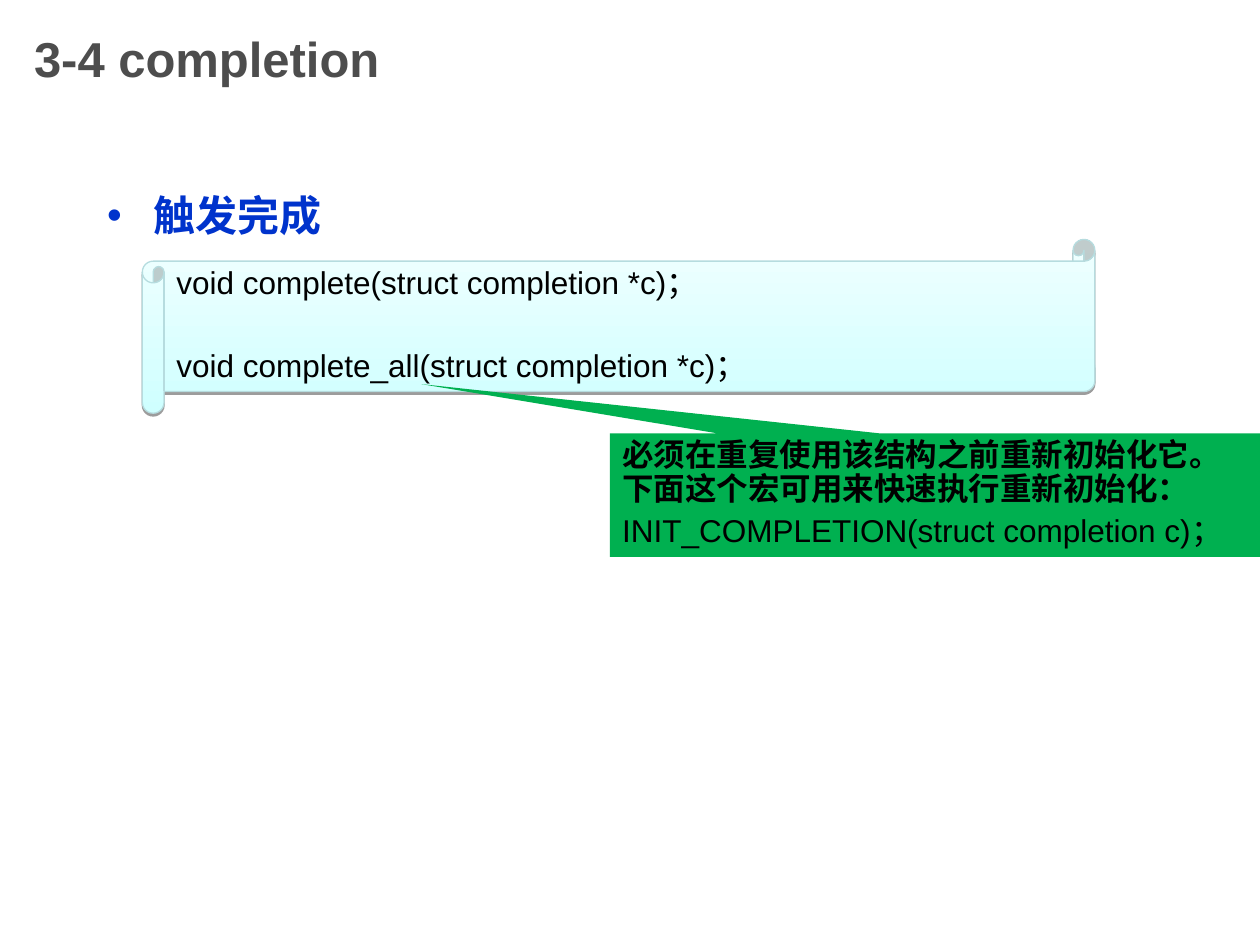
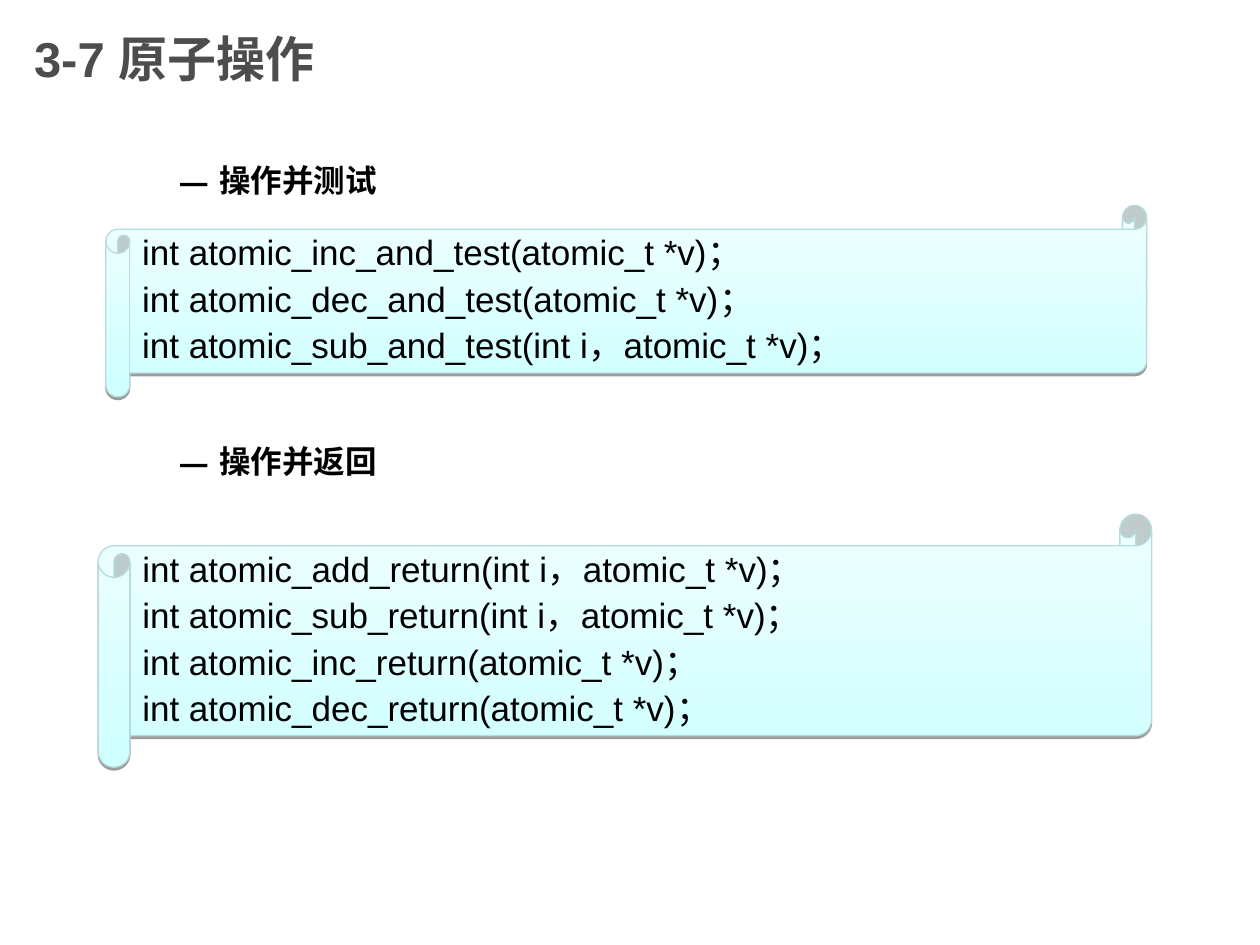
from lxml import etree
from pptx import Presentation
from pptx.dml.color import RGBColor
from pptx.enum.shapes import MSO_SHAPE as Preset
from pptx.enum.text import MSO_ANCHOR as Anchor, MSO_AUTO_SIZE as AutoSize, PP_ALIGN as Align
from pptx.oxml.ns import qn
from pptx.util import Inches, Pt

FONT = "Arial"
TITLE_GREY, HEADING_BLUE, BLACK = "4D4D4D", "0033CC", "000000"
SCROLL_BOTTOM, SCROLL_TOP, SCROLL_EDGE = "CFFFFF", "F0FFFF", "B6DCDF"
CALLOUT_GREEN = "00B050"


def rgb(hex_color):
    return RGBColor.from_string(hex_color)


class Deck:
    """Holds the shared style and the slide being filled."""

    def __init__(self):
        self.prs = Presentation()
        self.prs.slide_width, self.prs.slide_height = Inches(10), Inches(7.5)
        self.slide = None

    # Shared helpers
    def place(self, shape, box):
        shape.left, shape.top, shape.width, shape.height = map(Inches, box)

    def frame(self, shape, anchor=Anchor.TOP):
        text_frame = shape.text_frame
        text_frame.word_wrap = True
        text_frame.auto_size = AutoSize.NONE
        text_frame.vertical_anchor = anchor
        return text_frame

    def line(self, text_frame, text, size, color=BLACK, bold=False, before=0, spacing=1.0):
        """Write one paragraph, using the empty first one when it is free."""
        paragraph = text_frame.paragraphs[0]
        if paragraph.runs:
            paragraph = text_frame.add_paragraph()
        paragraph.alignment = Align.LEFT
        paragraph.line_spacing = spacing
        paragraph.space_before = Pt(before)
        run = paragraph.add_run()
        run.text = text
        run.font.name, run.font.size, run.font.bold = FONT, Pt(size), bold
        run.font.color.rgb = rgb(color)
        return paragraph

    def bullet(self, paragraph, char, color, left, hang, percent=100):
        props = paragraph._p.get_or_add_pPr()
        props.set("marL", str(Inches(left)))
        props.set("indent", str(-Inches(hang)))
        bullet_color = etree.SubElement(props, qn("a:buClr"))
        etree.SubElement(bullet_color, qn("a:srgbClr"), val=color)
        etree.SubElement(props, qn("a:buSzPct"), val=str(percent * 1000))
        etree.SubElement(props, qn("a:buFont"), typeface=FONT)
        etree.SubElement(props, qn("a:buChar"), char=char)

    # Slide elements
    def new_slide(self, title):
        self.slide = self.prs.slides.add_slide(self.prs.slide_layouts[1])
        heading = self.slide.shapes.title
        self.place(heading, (0.17, 0, 7.5, 0.92))
        self.line(self.frame(heading, Anchor.MIDDLE), title, 28, TITLE_GREY, bold=True)

    def body(self, left, top):
        placeholder = self.slide.placeholders[1]
        self.place(placeholder, (left, top, 8.5, 5.17))
        return self.frame(placeholder)

    def topic(self, body, text):
        paragraph = self.line(body, text, 24, HEADING_BLUE, True, before=6, spacing=0.9)
        self.bullet(paragraph, "•", HEADING_BLUE, 0.37, 0.37)

    def subtopic(self, body, text, before=4.5):
        paragraph = self.line(body, text, 18, bold=True, before=before)
        paragraph.level = 1
        self.bullet(paragraph, "–", BLACK, 0.81, 0.31, percent=156)

    def code_scroll(self, box, code, size, gap):
        """Draw a scroll of code; gap is the space between its lines."""
        scroll = self.slide.shapes.add_shape(Preset.HORIZONTAL_SCROLL, *map(Inches, box))
        scroll.fill.gradient()
        scroll.fill.gradient_angle = 90
        for stop, color in zip(scroll.fill.gradient_stops, (SCROLL_BOTTOM, SCROLL_TOP)):
            stop.color.rgb = rgb(color)
        scroll.line.color.rgb = rgb(SCROLL_EDGE)
        scroll.line.width = Pt(0.75)
        self.drop_shadow(scroll)
        text_frame = self.frame(scroll)
        for i, statement in enumerate(code):
            self.line(text_frame, statement, size, before=gap if i else size / 4, spacing=0.9)

    def drop_shadow(self, shape):
        shape.shadow.inherit = False
        effects = shape._element.spPr.find(qn("a:effectLst"))
        shadow = etree.SubElement(effects, qn("a:outerShdw"), blurRad="0",
                                  dist=str(Pt(1.6)), dir="5400000", rotWithShape="0")
        color = etree.SubElement(shadow, qn("a:srgbClr"), val=BLACK)
        etree.SubElement(color, qn("a:alpha"), val="38000")

    def callout(self, box, tip, note, code):
        callout = self.slide.shapes.add_shape(Preset.RECTANGULAR_CALLOUT, *map(Inches, box))
        callout.adjustments[0], callout.adjustments[1] = tip
        callout.fill.solid()
        callout.fill.fore_color.rgb = rgb(CALLOUT_GREEN)
        callout.line.fill.background()
        callout.shadow.inherit = False
        text_frame = self.frame(callout)
        self.line(text_frame, note, 18, bold=True, before=4.5, spacing=0.9)
        self.line(text_frame, code, 18, before=4.5, spacing=0.9)


def completion_slide(deck):
    deck.new_slide("3-4 completion")
    deck.topic(deck.body(0.75, 1.5), "触发完成")
    deck.code_scroll((1.13, 1.9, 7.56, 1.38),
                     ["void complete(struct completion *c)；",
                      "void complete_all(struct completion *c)；"], size=18, gap=28)
    deck.callout((4.84, 3.44, 5.16, 0.98), (-0.79, -0.9),
                 "必须在重复使用该结构之前重新初始化它。下面这个宏可用来快速执行重新初始化：",
                 "INIT_COMPLETION(struct completion c)；")


def atomic_slide(deck):
    deck.new_slide("3-7 原子操作")
    body = deck.body(0.83, 1.23)
    deck.subtopic(body, "操作并测试")
    deck.subtopic(body, "操作并返回", before=139)

    # Test functions, then return functions
    deck.code_scroll((0.84, 1.63, 8.26, 1.52),
                     ["int atomic_inc_and_test(atomic_t *v)；",
                      "int atomic_dec_and_test(atomic_t *v)；",
                      "int atomic_sub_and_test(int i，atomic_t *v)；"], size=20, gap=5)
    deck.code_scroll((0.78, 4.08, 8.36, 2.01),
                     ["int atomic_add_return(int i，atomic_t *v)；",
                      "int atomic_sub_return(int i，atomic_t *v)；",
                      "int atomic_inc_return(atomic_t *v)；",
                      "int atomic_dec_return(atomic_t *v)；"], size=20, gap=5)


def main():
    deck = Deck()
    completion_slide(deck)
    atomic_slide(deck)
    deck.prs.save("out.pptx")


if __name__ == "__main__":
    main()
